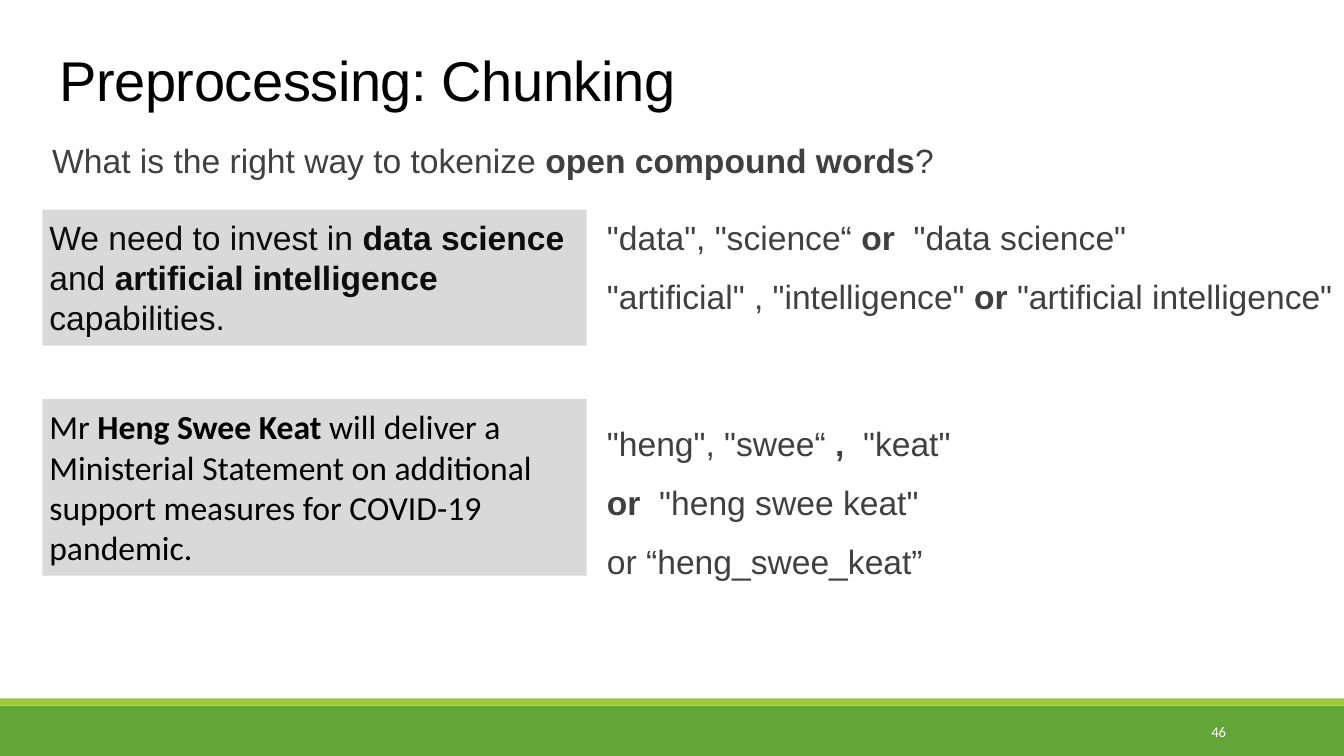
from dataclasses import dataclass

from pptx import Presentation
from pptx import util as u
from pptx.dml.color import RGBColor
from pptx.enum import shapes, text

WIDTH, HEIGHT = 13.33, 7.5


@dataclass(frozen=True)
class Theme:
    heading_font: str = "Arial"
    plain_font: str = "Calibri"
    title_size: float = 40
    body_size: float = 24
    number_size: float = 10.5
    line_factor: float = 1.2
    paragraph_gap: float = 13.3
    inset: float = 0.07
    black: str = "000000"
    ink: str = "0D0D0D"
    body: str = "404040"
    white: str = "FFFFFF"
    panel: str = "D9D9D9"
    green: str = "63A537"
    lime: str = "99CB38"


THEME = Theme()

# Columns and rows of the slide, in inches
LEFT, LEFT_WIDTH = 0.42, 5.4
RIGHT, RIGHT_WIDTH = 5.95, 7.39
BAND_TOP, STRIPE = 7.0, 0.07

# Each example: panel box, panel font and colour, sentence, answer box, answers.
# Text between asterisks is bold.
EXAMPLES = [
    ((LEFT, 2.08, LEFT_WIDTH, 1.35), THEME.heading_font, THEME.ink,
     "We need to invest in *data science *and *artificial intelligence *capabilities.",
     (RIGHT, 2.08, RIGHT_WIDTH, 1.12),
     ['"data", "science“ *or * "data science"',
      '"artificial" , "intelligence" *or *"artificial intelligence"']),
    ((LEFT, 3.96, LEFT_WIDTH, 1.75), THEME.plain_font, THEME.black,
     "Mr *Heng Swee Keat* will deliver a Ministerial Statement on additional "
     "support measures for COVID-19 pandemic.",
     (RIGHT, 4.13, RIGHT_WIDTH, 1.71),
     ['"heng", "swee“ *, * "keat"',
      '*or * "heng swee keat"',
      'or “heng_swee_keat”']),
]


def inches(box):
    return [u.Inches(length) for length in box]


def write(shape, lines, font, size, color, inset=(0.1, 0.05),
          anchor=text.MSO_ANCHOR.TOP, align=text.PP_ALIGN.LEFT):
    """Fill a shape with paragraphs whose starred parts are bold."""
    frame = shape.text_frame
    frame.word_wrap = True
    frame.auto_size = text.MSO_AUTO_SIZE.NONE
    frame.vertical_anchor = anchor
    frame.margin_left = frame.margin_right = u.Inches(inset[0])
    frame.margin_top = frame.margin_bottom = u.Inches(inset[1])
    for index, line in enumerate(lines):
        paragraph = frame.add_paragraph() if index else frame.paragraphs[0]
        paragraph.alignment = align
        paragraph.line_spacing = u.Pt(size * THEME.line_factor)
        paragraph.space_before = u.Pt(THEME.paragraph_gap if index else 0)
        paragraph.font.name = font
        paragraph.font.size = u.Pt(size)
        paragraph.font.color.rgb = RGBColor.from_string(color)
        for part, words in enumerate(line.split("*")):
            if words:
                run = paragraph.add_run()
                run.text = words
                if part % 2:
                    run.font.bold = True


def add_rectangle(slide, box, color):
    shape = slide.shapes.add_shape(shapes.MSO_SHAPE.RECTANGLE, *inches(box))
    shape.shadow.inherit = False
    shape.fill.solid()
    shape.fill.fore_color.rgb = RGBColor.from_string(color)
    shape.line.fill.background()
    return shape


def add_footer(slide, box, number):
    left, top, width, height = box
    add_rectangle(slide, box, THEME.green)
    add_rectangle(slide, (left, top - STRIPE, width, STRIPE), THEME.lime)
    # Slide number, right-aligned in the band
    number_box = slide.shapes.add_textbox(
        *inches((left + 10.83, top + 0.06, 1.43, 0.4)))
    write(number_box, [number], THEME.plain_font, THEME.number_size, THEME.white,
          anchor=text.MSO_ANCHOR.MIDDLE, align=text.PP_ALIGN.RIGHT)


def add_title(slide, box, title):
    shape = slide.shapes.title
    shape.left, shape.top, shape.width, shape.height = inches(box)
    write(shape, [title], THEME.heading_font, THEME.title_size, THEME.black,
          inset=(0.01, 0))
    # Slightly tightened letter spacing
    shape.text_frame.paragraphs[0].runs[0].font._element.set("spc", "-30")


def add_question(slide, box, question):
    shape = slide.shapes.add_textbox(*inches(box))
    write(shape, [question], THEME.heading_font, THEME.body_size, THEME.body)


def add_example(slide, panel_box, font, color, sentence, answer_box, answers):
    inset = (THEME.inset, THEME.inset)
    panel = add_rectangle(slide, panel_box, THEME.panel)
    write(panel, [sentence], font, THEME.body_size, color, inset)
    answer = slide.shapes.add_textbox(*inches(answer_box))
    write(answer, answers, THEME.heading_font, THEME.body_size, THEME.body, inset)


def main():
    presentation = Presentation()
    presentation.slide_width = u.Inches(WIDTH)
    presentation.slide_height = u.Inches(HEIGHT)
    slide = presentation.slides.add_slide(presentation.slide_layouts[5])

    add_footer(slide, (0, BAND_TOP, WIDTH, HEIGHT - BAND_TOP), "46")
    add_title(slide, (0.58, 0.45, 12.3, 0.67), "Preprocessing: Chunking")
    add_question(slide, (LEFT, 1.34, 9.03, 0.5),
                 "What is the right way to tokenize *open compound words*?")
    for example in EXAMPLES:
        add_example(slide, *example)

    presentation.save("out.pptx")


if __name__ == "__main__":
    main()
